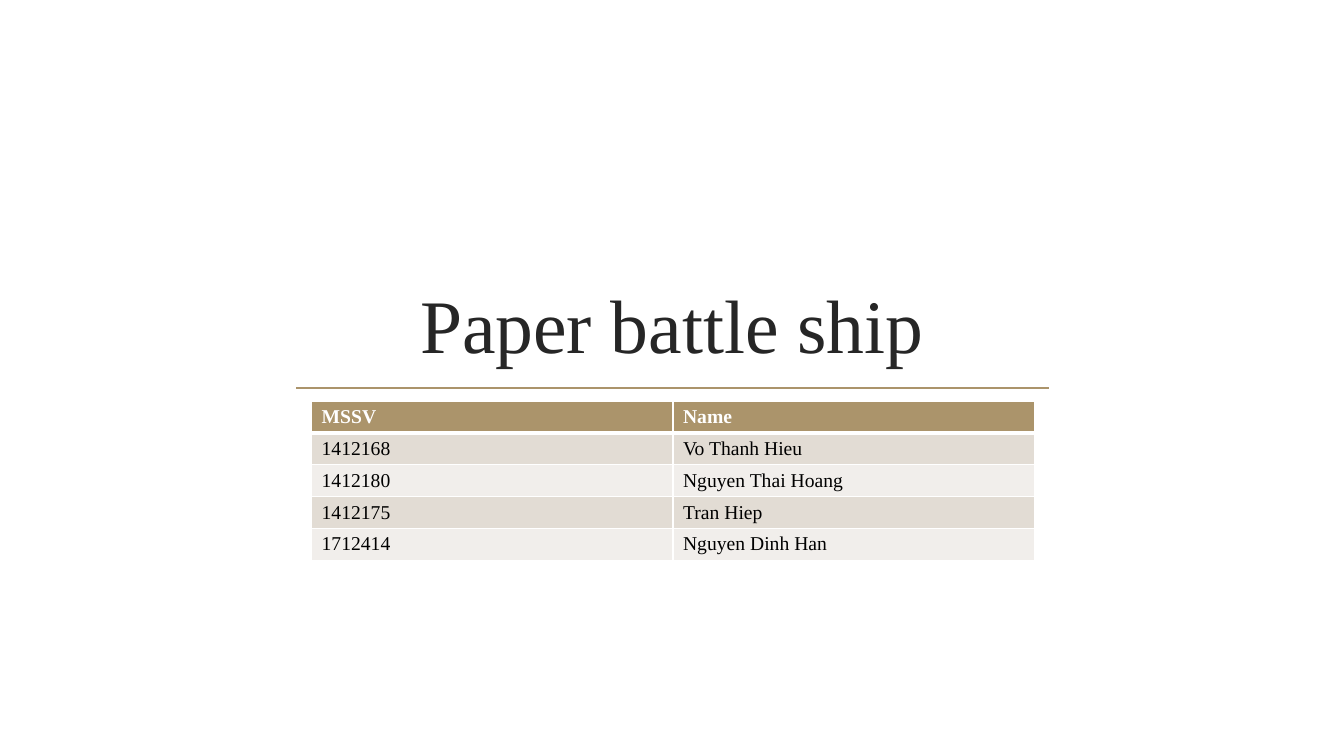
from lxml import etree
from pptx import Presentation
from pptx.dml.color import RGBColor
from pptx.enum import shapes, text
from pptx.oxml import ns
from pptx.util import Inches, Pt

FONT = "Times New Roman"
GOLD = RGBColor(0xAB, 0x94, 0x6B)
SAND = RGBColor(0xE2, 0xDC, 0xD4)
CREAM = RGBColor(0xF1, 0xEE, 0xEB)
WHITE = RGBColor(0xFF, 0xFF, 0xFF)
BLACK = RGBColor(0, 0, 0)
DARK = RGBColor(0x26, 0x26, 0x26)

TEAM = [
    ("MSSV", "Name"),
    ("1412168", "Vo Thanh Hieu"),
    ("1412180", "Nguyen Thai Hoang"),
    ("1412175", "Tran Hiep"),
    ("1712414", "Nguyen Dinh Han"),
]


def set_font(para, size, color, bold=False):
    """Format a paragraph in the slide's typeface."""
    font = para.font
    font.name, font.size, font.bold = FONT, Pt(size), bold
    font.color.rgb = color


def add_title(slide, words):
    """Fill and place the title, anchored above the rule."""
    title = slide.shapes.title
    title.left, title.top = Inches(2.94), Inches(2.05)
    title.width, title.height = Inches(7.45), Inches(1.66)
    frame = title.text_frame
    frame.text = words
    frame.word_wrap = True
    frame.auto_size = text.MSO_AUTO_SIZE.NONE
    frame.vertical_anchor = text.MSO_ANCHOR.BOTTOM
    para = frame.paragraphs[0]
    para.alignment = text.PP_ALIGN.CENTER
    set_font(para, 54, DARK)


def add_rule(slide):
    """Draw the gold line under the title."""
    rule = slide.shapes.add_connector(
        shapes.MSO_CONNECTOR.STRAIGHT,
        Inches(2.94), Inches(3.85), Inches(10.4), Inches(3.85))
    rule.line.color.rgb = GOLD
    rule.line.width = Pt(1.25)
    etree.SubElement(rule._element.spPr, ns.qn("a:effectLst"))


def set_edges(cell, top, bottom):
    """Give a cell white borders, with widths in points."""
    props = cell._tc.get_or_add_tcPr()
    edges = [("L", 1), ("R", 1), ("T", top), ("B", bottom)]
    for place, (side, width) in enumerate(edges):
        line = etree.Element(ns.qn(f"a:ln{side}"), w=str(Pt(width)))
        fill = etree.SubElement(line, ns.qn("a:solidFill"))
        etree.SubElement(fill, ns.qn("a:srgbClr"), val=str(WHITE))
        props.insert(place, line)


def add_table(slide, rows):
    """Add the banded table of members under the rule."""
    high = Inches(0.31)
    table = slide.shapes.add_table(
        len(rows), len(rows[0]), Inches(3.09), Inches(3.98),
        Inches(7.17), high * len(rows)).table
    for r, row in enumerate(rows):
        table.rows[r].height = high
        head = r == 0
        band = GOLD if head else SAND if r % 2 else CREAM
        for c, words in enumerate(row):
            cell = table.cell(r, c)
            cell.text = words
            cell.fill.solid()
            cell.fill.fore_color.rgb = band
            set_font(cell.text_frame.paragraphs[0], 14,
                     WHITE if head else BLACK, head)
            set_edges(cell, 3 if r == 1 else 1, 3 if head else 1)


def main():
    """Build the title slide and save it."""
    deck = Presentation()
    deck.slide_width, deck.slide_height = Inches(13.33), Inches(7.5)
    slide = deck.slides.add_slide(deck.slide_layouts[0])
    sub = slide.placeholders[1].element
    sub.getparent().remove(sub)
    add_rule(slide)
    add_title(slide, "Paper battle ship")
    add_table(slide, TEAM)
    deck.save("out.pptx")


if __name__ == "__main__":
    main()
